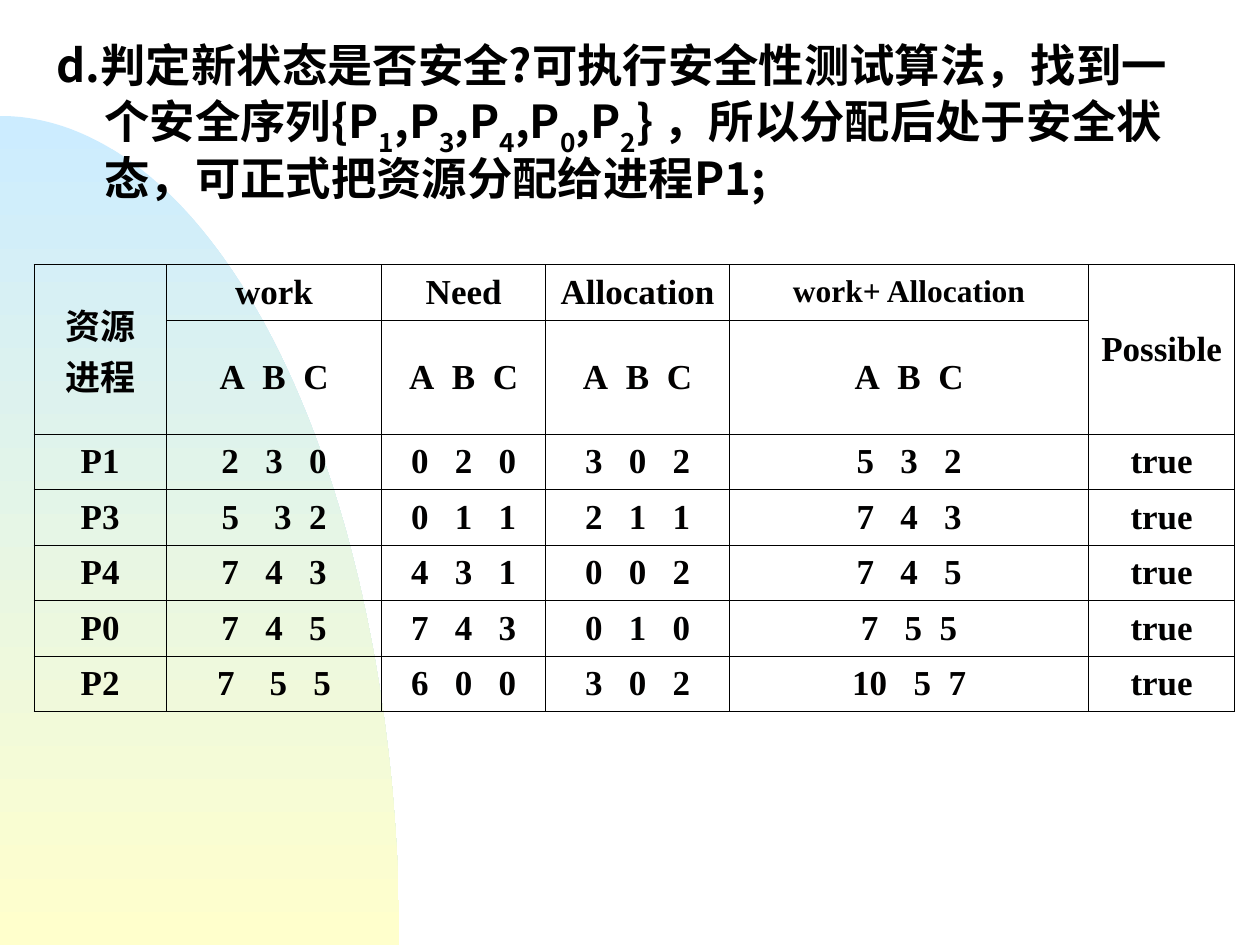
from math import cos, pi, sin

from lxml.etree import SubElement
from pptx import Presentation
from pptx.dml.color import RGBColor
from pptx.enum.text import MSO_ANCHOR, MSO_AUTO_SIZE, PP_ALIGN
from pptx.oxml import parse_xml
from pptx.oxml.ns import nsdecls, qn
from pptx.util import Inches, Pt

CJK_FONT = "Noto Sans CJK SC"
STATEMENT_FONT = {"name": CJK_FONT, "size": Pt(25.9), "bold": True}
TABLE_FONT = {"name": "Times New Roman", "size": Pt(20), "bold": True}


def color(hex_value):
    return RGBColor.from_string(hex_value)


def add_run(paragraph, text, formats, hex_value, **extra):
    run = paragraph.add_run()
    run.text = text
    for name, value in formats.items():
        setattr(run.font, name, value)
    run.font.color.rgb = color(hex_value)
    properties = run._r.get_or_add_rPr()
    SubElement(properties, qn("a:ea")).set("typeface", CJK_FONT)
    for name, value in extra.items():
        properties.set(name, str(value))
    return run


deck = Presentation()
deck.slide_width, deck.slide_height = Inches(10), Inches(7.5)
slide = deck.slides.add_slide(deck.slide_layouts[1])
title, statement = slide.placeholders
title.element.getparent().remove(title.element)

# Background quarter ellipse, centred on the bottom left corner
radius_x, radius_y, steps = 3.17, 6.58, 90
arc = [(Inches(radius_x * sin(pi / 2 * i / steps)),
        Inches(7.5 - radius_y * cos(pi / 2 * i / steps))) for i in range(steps + 1)]
builder = slide.shapes.build_freeform(*arc[0])
builder.add_line_segments(arc[1:] + [(0, deck.slide_height)], close=True)
ellipse = builder.convert_to_shape()
ellipse.shadow.inherit = False
ellipse.line.fill.background()
ellipse.fill.gradient()
ellipse.fill.gradient_angle = 270
for stop, (position, shade) in zip(ellipse.fill.gradient_stops,
                                   [(0, "CCECFF"), (1, "FFFFCC")]):
    stop.position, stop.color.rgb = position, color(shade)
statement.element.addprevious(ellipse.element)

# Statement with the safe sequence
statement.left, statement.top = Inches(0.35), Inches(0.28)
statement.width, statement.height = Inches(9.29), Inches(1.5)
frame = statement.text_frame
frame.word_wrap, frame.auto_size = True, MSO_AUTO_SIZE.NONE
frame.vertical_anchor = MSO_ANCHOR.TOP
paragraph = frame.paragraphs[0]
indents = paragraph._p.get_or_add_pPr()
indents.set("marL", str(Inches(0.38)))
indents.set("indent", str(-Inches(0.38)))
SubElement(indents, qn("a:buNone"))
paragraph.line_spacing, paragraph.space_before = 0.95, Pt(0)

lead = "d.判定新状态是否安全?可执行安全性测试算法，找到一个安全序列{P"
for process in "13402":
    add_run(paragraph, lead, STATEMENT_FONT, "000000")
    add_run(paragraph, process, STATEMENT_FONT, "000000", baseline=-30000)
    lead = ",P"
add_run(paragraph, "} ，所以分配后处于安全状态，可正式把资源分配给进程P1;",
        STATEMENT_FONT, "000000")

# Safety check table
columns = [1.05, 1.71, 1.3, 1.46, 2.85, 1.16]
rows = [0.44, 0.77] + [0.44] * 5
headings = ["资源\n进程", "work", "Need", "Allocation", "work+ Allocation", "Possible"]
content = [
    headings,
    [""] + ["A B C"] * 4 + [""],
    ["P1", "2 3 0", "0 2 0", "3 0 2", "5 3 2", "true"],
    ["P3", "5 3 2", "0 1 1", "2 1 1", "7 4 3", "true"],
    ["P4", "7 4 3", "4 3 1", "0 0 2", "7 4 5", "true"],
    ["P0", "7 4 5", "7 4 3", "0 1 0", "7 5 5", "true"],
    ["P2", "7 5 5", "6 0 0", "3 0 2", "10 5 7", "true"],
]
# Gap widths between the A, B and C values, in space widths
uneven_gaps = {(3, 1): (4, 2), (5, 4): (3, 2), (6, 1): (4, 3), (6, 4): (3, 2)}

table = slide.shapes.add_table(len(rows), len(columns), Inches(0.27), Inches(2.1),
                               Inches(sum(columns)), Inches(sum(rows))).table
table.first_row = table.horz_banding = False
for column, width in zip(table.columns, columns):
    column.width = Inches(width)
for row, height in zip(table.rows, rows):
    row.height = Inches(height)
for c in (0, 5):
    table.cell(0, c).merge(table.cell(1, c))

for r, row_content in enumerate(content):
    for c, text in enumerate(row_content):
        cell = table.cell(r, c)
        cell.vertical_anchor = MSO_ANCHOR.MIDDLE
        cell.margin_left = cell.margin_right = Inches(0.1)
        cell.margin_top = cell.margin_bottom = Inches(0.05)
        for side in "LRTB":
            cell._tc.get_or_add_tcPr().append(parse_xml(
                f'<a:ln{side} {nsdecls("a")} w="{Pt(0.45)}"><a:solidFill>'
                f'<a:srgbClr val="000000"/></a:solidFill></a:ln{side}>'))
        cell.fill.background()
        if not text:
            continue
        formats = dict(TABLE_FONT, size=Pt(18 if text == headings[4] else 20))
        for i, line in enumerate(text.split("\n")):
            paragraph = cell.text_frame.paragraphs[0] if i == 0 else cell.text_frame.add_paragraph()
            paragraph.alignment = PP_ALIGN.CENTER
            if r == 0:
                add_run(paragraph, line, formats, "010000")
                continue
            first, *others = line.split()
            add_run(paragraph, first, formats, "010000")
            gaps = uneven_gaps.get((r, c), (2, 2) if r == 1 else (3, 3))
            for value, gap in zip(others, gaps):
                add_run(paragraph, " ", formats, "010000", spc=500 * (gap - 1))
                add_run(paragraph, value, formats, "010000")

deck.save("out.pptx")
